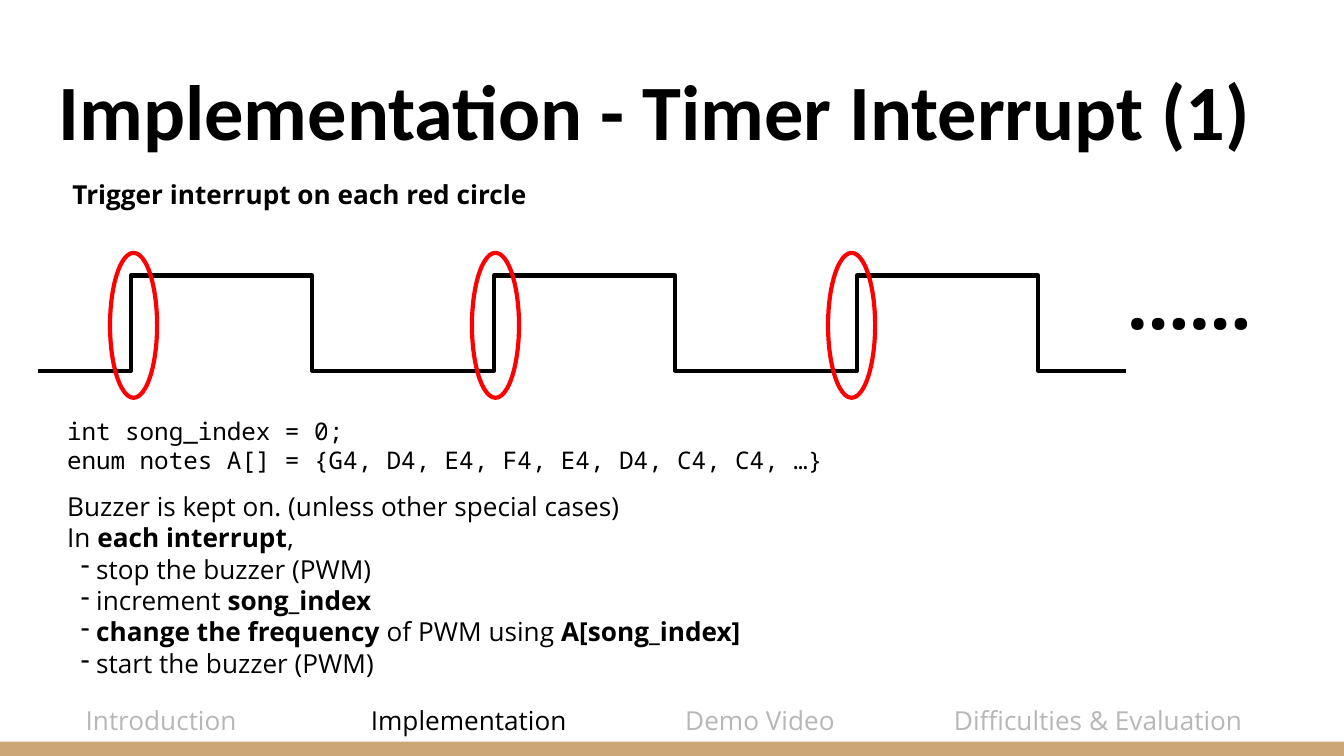
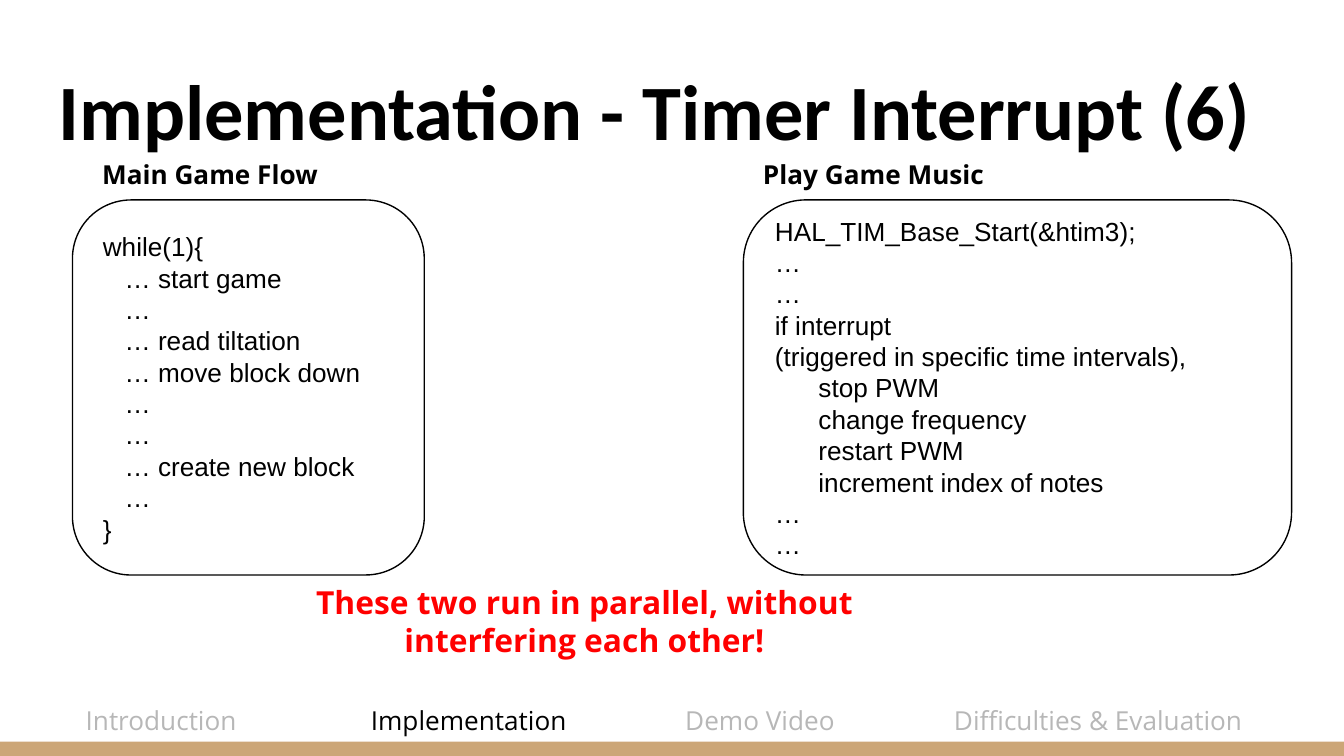
from dataclasses import dataclass
from lxml.etree import SubElement
from pptx import Presentation
from pptx.dml.color import RGBColor as RGB
from pptx.enum.shapes import MSO_CONNECTOR as Link, MSO_SHAPE as Shape
from pptx.enum.text import MSO_ANCHOR as Anchor, PP_ALIGN as Align
from pptx.oxml.ns import qn
from pptx.util import Cm, Pt


@dataclass
class Theme:
    ink: RGB = RGB(0, 0, 0)
    gray: RGB = RGB(0xB7, 0xB7, 0xB7)
    red: RGB = RGB(0xFF, 0, 0)
    tan: RGB = RGB(0xCC, 0xA6, 0x77)
    head: str = "Calibri"
    sans: str = "Open Sans"
    mono: str = "Noto Sans Mono"
    plain: str = "Arial"
    title: int = 42
    dots: int = 39
    note: int = 17
    body: int = 14
    code: int = 13


T = Theme()


def write(frame, lines, font=T.sans, size=T.body, color=T.ink, bold=False,
          align=Align.LEFT, anchor=Anchor.TOP):
    frame.word_wrap = True
    frame.vertical_anchor = anchor
    frame.margin_left = frame.margin_right = Cm(0.25)
    frame.margin_top = frame.margin_bottom = Cm(0.25)
    for row, line in enumerate(lines):
        para = frame.paragraphs[0] if row == 0 else frame.add_paragraph()
        para.alignment = align
        if line.startswith("- "):
            line = line[2:]
            props = para._p.get_or_add_pPr()
            props.set("marL", str(Cm(0.55)))
            props.set("indent", str(-Cm(0.29)))
            SubElement(props, qn("a:buChar")).set("char", "-")
        para.font.name = font
        para.font.size = Pt(size)
        para.font.color.rgb = color
        para.font.bold = bold
        for part, words in enumerate(line.split("**")):
            if words:
                run = para.add_run()
                run.text = words
                if part % 2:
                    run.font.bold = True


def label(shapes, spot, lines, **style):
    box = shapes.add_textbox(*map(Cm, spot))
    write(box.text_frame, lines, **style)


deck = Presentation()
deck.slide_width = Cm(25.4)
deck.slide_height = Cm(14.29)

tabs = [
    ("Introduction", 1.37, 4.88),
    ("Implementation", 6.76, 4.88),
    ("Demo Video", 12.7, 4.88),
    ("Difficulties & Evaluation", 17.78, 6.35),
]
pages = []
for part in (1, 6):
    page = deck.slides.add_slide(deck.slide_layouts[6])
    band = page.shapes.add_shape(Shape.RECTANGLE, 0, Cm(14.02), Cm(25.4), Cm(0.27))
    band.shadow.inherit = False
    band.fill.solid()
    band.fill.fore_color.rgb = T.tan
    band.line.fill.background()
    label(page.shapes, (0.86, 0.89, 23.67, 2.31),
          [f"Implementation - Timer Interrupt ({part})"],
          font=T.head, size=T.title, bold=True, anchor=Anchor.BOTTOM)
    for name, left, width in tabs:
        label(page.shapes, (left, 13.06, width, 1.12), [name],
              color=T.ink if name == "Implementation" else T.gray)
    pages.append(page.shapes)

timer, flow = pages

label(timer, (1.02, 7.62, 23.24, 1.63), [
    "int song_index = 0;",
    "enum notes A[] = {G4, D4, E4, F4, E4, D4, C4, C4, …}",
], font=T.mono, size=T.code)

wave = timer.add_group_shape().shapes
low, high = 7.01, 5.21
rise, fall = 3.53, 3.33
for cycle in range(3):
    start = 0.71 + cycle * (rise + fall)
    peak = start + rise
    for x1, y1, x2, y2 in [(start, low, peak, high), (peak, high, peak + fall, low)]:
        edge = wave.add_connector(Link.ELBOW, Cm(x1), Cm(y1), Cm(x2), Cm(y2))
        edge.line.color.rgb = T.ink
        edge.line.width = Pt(2.25)
        SubElement(edge._element.spPr, qn("a:effectLst"))
label(wave, (21.06, 4.6, 3.53, 2.18), ["……"], size=T.dots, bold=True)

for left in (2.08, 8.92, 15.65):
    ring = timer.add_shape(Shape.OVAL, Cm(left), Cm(4.78), Cm(0.89), Cm(2.74))
    ring.shadow.inherit = False
    ring.fill.background()
    ring.line.color.rgb = T.red
    ring.line.width = Pt(2.25)

label(timer, (1.12, 3.12, 9.5, 1.12), ["Trigger interrupt on each red circle"], bold=True)
label(timer, (1.02, 9.02, 23.24, 4.11), [
    "Buzzer is kept on. (unless other special cases)",
    "In **each interrupt**,",
    "- stop the buzzer (PWM)",
    "- increment **song_index**",
    "- **change the frequency** of PWM using **A[song_index]**",
    "- start the buzzer (PWM)",
])

loop = [
    "while(1){",
    "   … start game",
    "   …",
    "   … read tiltation",
    "   … move block down",
    "   …",
    "   …",
    "   … create new block",
    "   …",
    "}",
]
music = [
    "HAL_TIM_Base_Start(&htim3);",
    "…",
    "…",
    "if interrupt",
    "(triggered in specific time intervals),",
    "      stop PWM",
    "      change frequency",
    "      restart PWM",
    "      increment index of notes",
    "…",
    "…",
]
for name, inset, left, width, lines in [
    ("Main Game Flow", 1.68, 1.37, 6.65, loop),
    ("Play Game Music", 14.17, 14.05, 10.36, music),
]:
    card = flow.add_shape(Shape.ROUNDED_RECTANGLE, Cm(left), Cm(3.78), Cm(width), Cm(7.09))
    card.shadow.inherit = False
    card.fill.background()
    card.line.color.rgb = T.ink
    card.line.width = Pt(0.75)
    write(card.text_frame, lines, font=T.plain, anchor=Anchor.MIDDLE)
    label(flow, (inset, 2.74, 6.35, 1.12), [name], bold=True)

label(flow, (4.75, 10.77, 12.6, 1.96),
      ["These two run in parallel, without interfering each other!"],
      size=T.note, color=T.red, bold=True, align=Align.CENTER)

deck.save("out.pptx")
